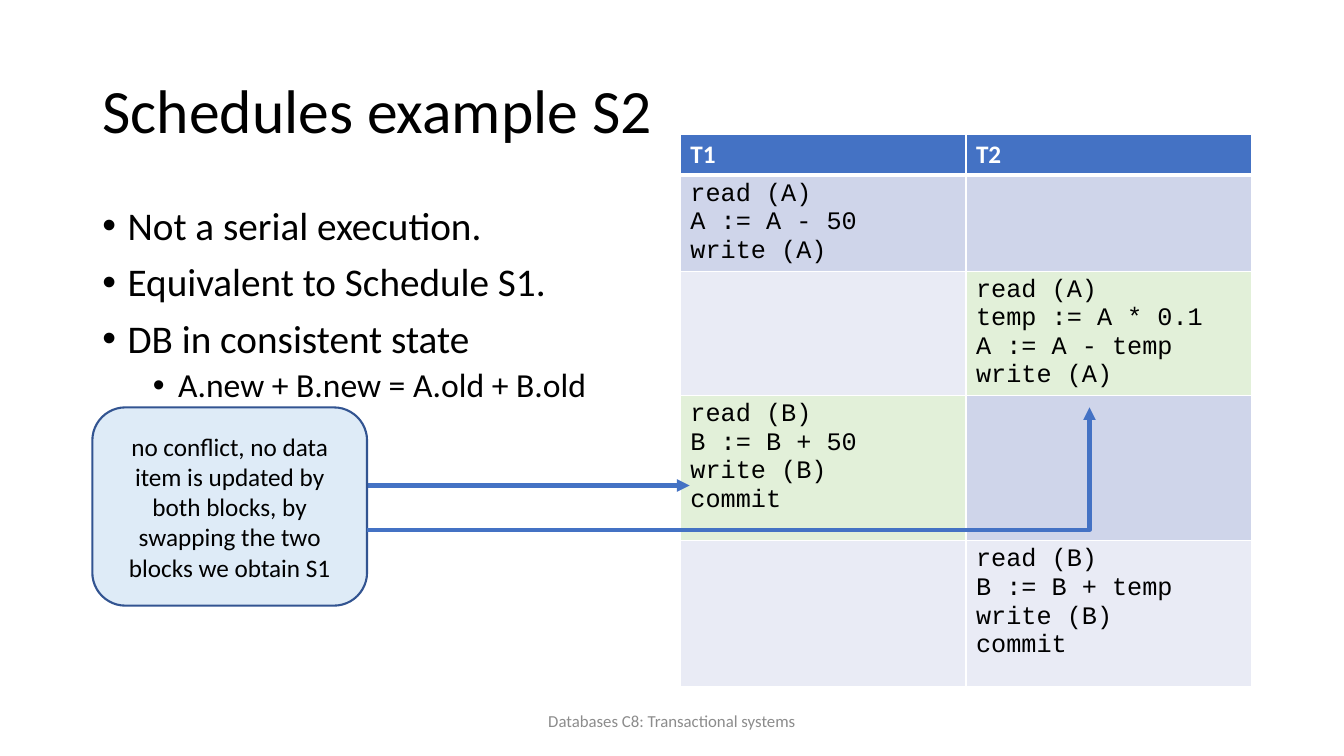
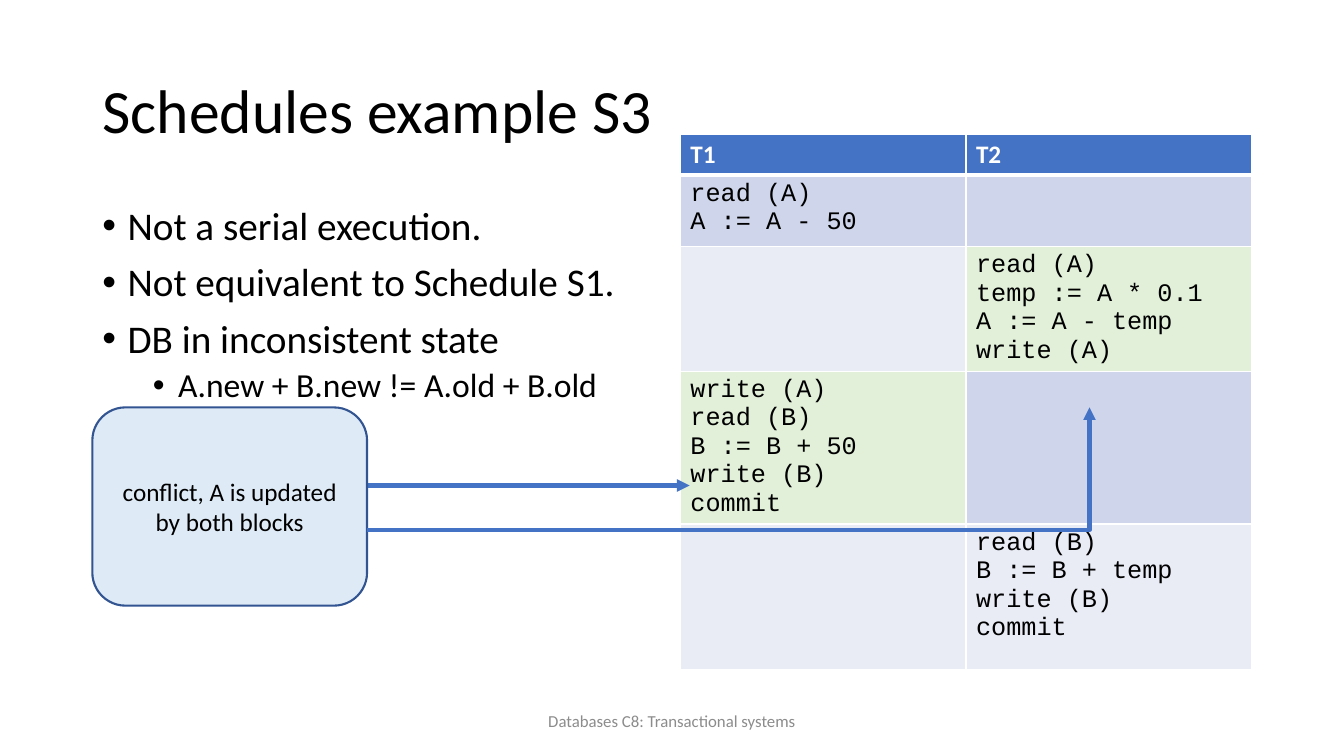
from dataclasses import dataclass

from lxml import etree
from pptx import Presentation
from pptx.dml.color import RGBColor
from pptx.enum.shapes import MSO_CONNECTOR as CONN, MSO_SHAPE as SHAPE
from pptx.enum.text import MSO_ANCHOR as ANCHOR, MSO_AUTO_SIZE as FIT, PP_ALIGN as ALIGN
from pptx.oxml.ns import qn
from pptx.util import Inches, Pt


@dataclass(frozen=True)
class Theme:
    font: str = "Calibri"
    code_font: str = "Courier New"
    ink: str = "000000"
    white: str = "FFFFFF"
    accent: str = "4472C4"
    bands: tuple = ("CFD5EA", "E9EBF5")
    highlight: str = "E2F0D9"
    box_fill: str = "DEEBF7"
    box_line: str = "325491"
    muted: str = "8C8C8C"
    title: int = 44
    bullets: tuple = (28, 24)
    text: int = 18
    footer: int = 12


T = Theme()

# Grid of 160 columns by 90 rows; each cell is a twelfth of an inch square
COLS, ROWS = 160, 90
UNIT = Inches(1) // 12
LEFT = 11
TABLE_LEFT, TABLE_TOP, TABLE_COL = 81, 16, 34
HEADER_ROW = 4.6
BOX = (LEFT, 48.5, 32.7, 23.6)
FOOTER = "Databases C8: Transactional systems"


def grid(*cells):
    return [round(c * UNIT) for c in cells]


def rgb(colour):
    return RGBColor.from_string(colour)


def add_run(p, text, size, colour=T.ink, font=T.font, bold=False):
    r = p.add_run()
    r.text = text
    r.font.size, r.font.name, r.font.bold = Pt(size), font, bold
    r.font.color.rgb = rgb(colour)


def place(sp, *cells):
    sp.left, sp.top, sp.width, sp.height = grid(*cells)
    tf = sp.text_frame
    tf.word_wrap, tf.auto_size = True, FIT.NONE
    return tf


def paragraphs(tf, count):
    return [tf.paragraphs[0]] + [tf.add_paragraph() for _ in range(count - 1)]


def add_title(s, text):
    tf = place(s.shapes.title, LEFT, 4.8, 138, 17.4)
    tf.vertical_anchor = ANCHOR.MIDDLE
    p = tf.paragraphs[0]
    p.alignment, p.line_spacing = ALIGN.LEFT, 0.9
    add_run(p, text, T.title)


def add_bullets(s, items):
    tf = place(s.placeholders[1], LEFT, 24, 68, 57.1)
    for p, (level, text) in zip(paragraphs(tf, len(items)), items):
        p.level, p.line_spacing = level, 0.9
        p.space_before = Pt((10, 5)[level])
        add_run(p, text, T.bullets[level])
        pPr = p._p.get_or_add_pPr()
        pPr.set("marL", str(Inches(0.25 + 0.5 * level)))
        pPr.set("indent", str(Inches(-0.25)))
        etree.SubElement(pPr, qn("a:buFont"), typeface="Arial")
        etree.SubElement(pPr, qn("a:buChar"), char="•")


def style_cell(cell, fill, top=1, bottom=1):
    tcPr = cell._tc.get_or_add_tcPr()
    # Borders come before the fill in the cell's properties
    for side, width in zip("LRTB", (1, 1, top, bottom)):
        ln = etree.SubElement(tcPr, qn(f"a:ln{side}"), w=str(Pt(width)))
        solid = etree.SubElement(ln, qn("a:solidFill"))
        etree.SubElement(solid, qn("a:srgbClr"), val=T.white)
    cell.fill.solid()
    cell.fill.fore_color.rgb = rgb(fill)


def add_schedule(s, blocks, heights):
    """Blocks alternate between T1 and T2; the middle two are highlighted."""
    heights = (HEADER_ROW, *heights)
    frame = s.shapes.add_table(len(heights), 2, *grid(
        TABLE_LEFT, TABLE_TOP, 2 * TABLE_COL, sum(heights)))
    table = frame.table
    for row, height in zip(table.rows, grid(*heights)):
        row.height = height
    for col, name in enumerate(("T1", "T2")):
        table.columns[col].width = grid(TABLE_COL)[0]
        cell = table.cell(0, col)
        style_cell(cell, T.accent, bottom=3)
        add_run(cell.text_frame.paragraphs[0], name, T.text, T.white, bold=True)
    for i, block in enumerate(blocks):
        for col in range(2):
            cell = table.cell(i + 1, col)
            active = col == i % 2
            fill = T.highlight if active and i in (1, 2) else T.bands[i % 2]
            style_cell(cell, fill, top=3 if i == 0 else 1)
            if active:
                for p, line in zip(paragraphs(cell.text_frame, len(block)), block):
                    add_run(p, line, T.text, font=T.code_font)


def add_footer(s):
    tf = place(s.shapes.add_textbox(0, 0, 0, 0), 53, 83.4, 54, 4.8)
    tf.vertical_anchor = ANCHOR.MIDDLE
    tf.paragraphs[0].alignment = ALIGN.CENTER
    add_run(tf.paragraphs[0], FOOTER, T.footer, T.muted)


def add_arrow(s, kind, *ends):
    c = s.shapes.add_connector(kind, *grid(*ends))
    c.line.color.rgb, c.line.width = rgb(T.accent), Pt(3)
    etree.SubElement(c.line._get_or_add_ln(), qn("a:tailEnd"), type="triangle")
    spPr = c._element.spPr
    etree.SubElement(spPr, qn("a:effectLst"))
    if kind == CONN.ELBOW:
        # Turn at the far end, so the arrow points up
        guides = spPr.find(qn("a:prstGeom")).find(qn("a:avLst"))
        etree.SubElement(guides, qn("a:gd"), name="adj1", fmla="val 100000")


def add_note(s, text):
    sp = s.shapes.add_shape(SHAPE.ROUNDED_RECTANGLE, *grid(*BOX))
    sp.shadow.inherit = False
    sp.fill.solid()
    sp.fill.fore_color.rgb = rgb(T.box_fill)
    sp.line.color.rgb, sp.line.width = rgb(T.box_line), Pt(1.5)
    tf = sp.text_frame
    tf.word_wrap, tf.vertical_anchor = True, ANCHOR.MIDDLE
    tf.paragraphs[0].alignment = ALIGN.CENTER
    add_run(tf.paragraphs[0], text, T.text)


def add_schedule_slide(prs, title, bullets, blocks, heights, note):
    s = prs.slides.add_slide(prs.slide_layouts[1])
    add_title(s, title)
    add_bullets(s, bullets)
    add_schedule(s, blocks, heights)
    add_footer(s)
    # Note with arrows to the two highlighted blocks
    right = BOX[0] + BOX[2]
    add_arrow(s, CONN.STRAIGHT, right, 57.8, 82.1, 57.8)
    add_note(s, note)
    add_arrow(s, CONN.ELBOW, right, 63.1, 129.7, BOX[1])


def main():
    prs = Presentation()
    prs.slide_width, prs.slide_height = grid(COLS, ROWS)

    # Blocks that both schedules share
    debit = ("read (A)", "A := A - 50")
    save_a = ("write (A)",)
    move_temp = ("read (A)", "temp := A * 0.1", "A := A - temp", "write (A)")
    credit = ("read (B)", "B := B + 50", "write (B)", "commit")
    credit_temp = ("read (B)", "B := B + temp", "write (B)", "commit")

    add_schedule_slide(
        prs, "Schedules example S2",
        [(0, "Not a serial execution."),
         (0, "Equivalent to Schedule S1."),
         (0, "DB in consistent state"),
         (1, "A.new + B.new = A.old + B.old")],
        [debit + save_a, move_temp, credit, credit_temp],
        (11.2, 14.6, 17.3, 17.3),
        "no conflict, no data item is updated by both blocks, "
        "by swapping the two blocks we obtain S1")
    add_schedule_slide(
        prs, "Schedules example S3",
        [(0, "Not a serial execution."),
         (0, "Not equivalent to Schedule S1."),
         (0, "DB in inconsistent state"),
         (1, "A.new + B.new != A.old + B.old")],
        [debit, move_temp, save_a + credit, credit_temp],
        (8.5, 14.6, 17.3, 17.3),
        "conflict, A is updated by both blocks")

    prs.save("out.pptx")


if __name__ == "__main__":
    main()
